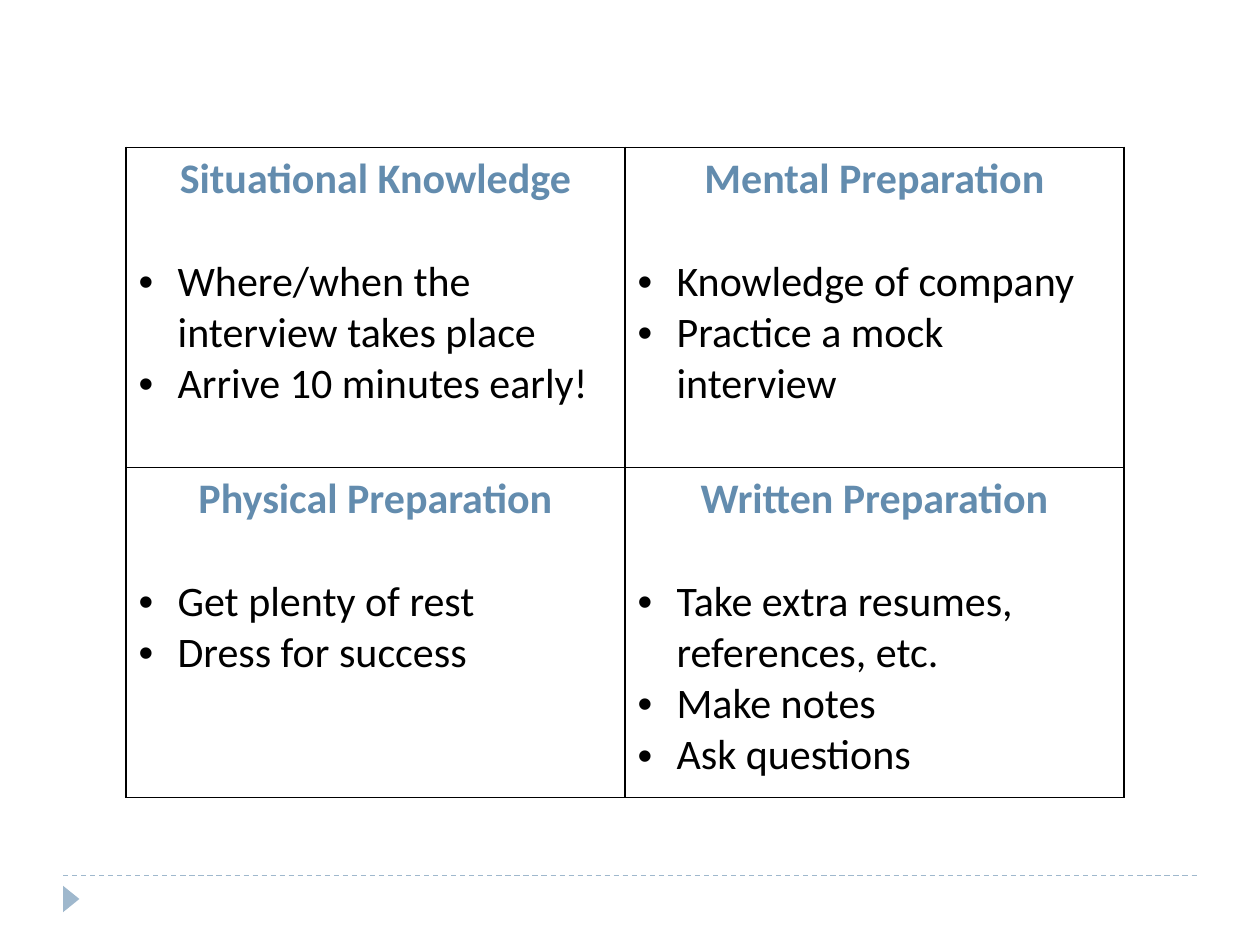
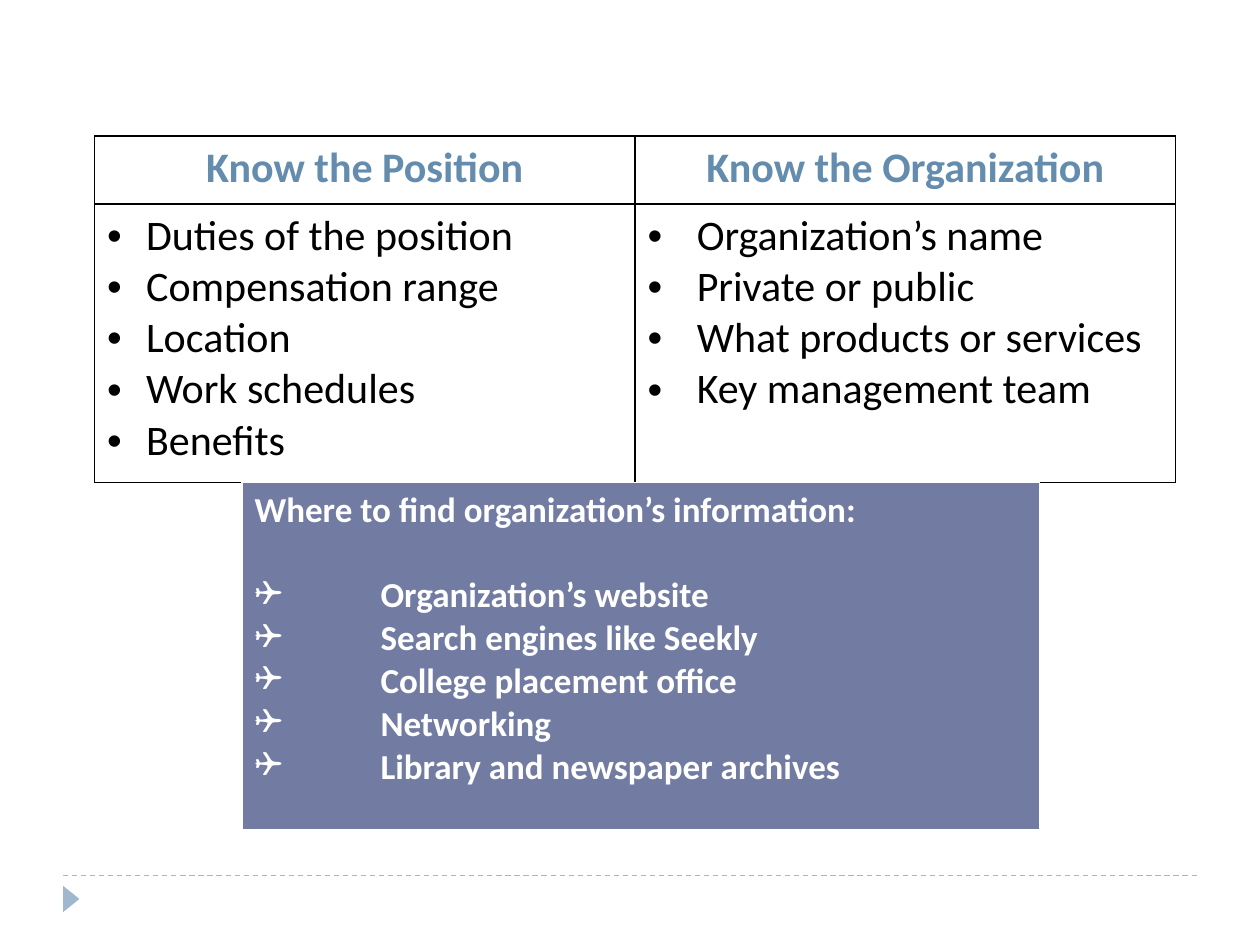
import pptx
import pptx.dml.color
import pptx.enum.dml
import pptx.enum.shapes
import pptx.enum.text
import pptx.oxml.ns
import pptx.util
from lxml import etree

Inches = pptx.util.Inches
Pt = pptx.util.Pt

FONT = "Calibri"
BLACK, WHITE = "000000", "FFFFFF"
HEADING, ACCENT, PANEL = "638CAE", "9FB8CD", "727CA3"
LINE_HEIGHT = 1.22  # Calibri line height relative to its size
GRID_BORDERS = {side: (BLACK, 1) for side in "LRTB"}
PANEL_BORDERS = {"L": (WHITE, 1), "R": (WHITE, 1), "T": (WHITE, 1), "B": (WHITE, 3)}


def rgb(value):
    return pptx.dml.color.RGBColor.from_string(value)


def add_element(parent, tag, **attributes):
    element = etree.SubElement(parent, pptx.oxml.ns.qn(tag))
    for name, value in attributes.items():
        element.set(name, str(value))
    return element


# Footer shared by every slide
def add_footer(page, left, top, width):
    rule = page.shapes.add_connector(
        pptx.enum.shapes.MSO_CONNECTOR.STRAIGHT,
        Inches(left), Inches(top), Inches(left + width), Inches(top))
    rule.line.color.rgb = rgb(ACCENT)
    rule.line.width = Pt(0.75)
    rule.line.dash_style = pptx.enum.dml.MSO_LINE.DASH
    add_element(rule._element.spPr, "a:effectLst")

    marker = page.shapes.add_shape(
        pptx.enum.shapes.MSO_SHAPE.ISOSCELES_TRIANGLE,
        Inches(left - 0.04), Inches(top + 0.12), Inches(0.21), Inches(0.13))
    marker.rotation = 90
    marker.shadow.inherit = False
    marker.fill.solid()
    marker.fill.fore_color.rgb = rgb(ACCENT)
    marker.line.fill.background()


# Table parts
def set_borders(cell, borders):
    properties = cell._tc.get_or_add_tcPr()
    for side, (color, width) in borders.items():
        line = add_element(properties, f"a:ln{side}", w=Pt(width))
        fill = add_element(line, "a:solidFill")
        add_element(fill, "a:srgbClr", val=color)


def format_paragraph(para, size, color, bold):
    para.font.size = Pt(size)
    for span in para.runs:
        span.font.name = FONT
        span.font.size = Pt(size)
        span.font.bold = bold
        span.font.color.rgb = rgb(color)


def set_bullet(para, symbol, symbol_font, indent):
    properties = para._p.get_or_add_pPr()
    properties.set("marL", str(Inches(indent)))
    properties.set("indent", str(Inches(-indent)))
    add_element(properties, "a:buFont", typeface=symbol_font)
    add_element(properties, "a:buChar", char=symbol)


def fill_cell(cell, heading=None, items=(), size=24, heading_color=HEADING,
              item_color=BLACK, bold_items=False, centered=True,
              bullet=("•", "Arial"), indent=0.31):
    frame = cell.text_frame
    frame.text = "\n".join(([heading] if heading else []) + list(items))
    paragraphs = list(frame.paragraphs)
    if heading:
        title = paragraphs.pop(0)
        if centered:
            title.alignment = pptx.enum.text.PP_ALIGN.CENTER
        format_paragraph(title, size, heading_color, True)
        if paragraphs:
            paragraphs[0].space_before = Pt(size * LINE_HEIGHT)
    for para in paragraphs:
        set_bullet(para, *bullet, indent)
        format_paragraph(para, size, item_color, bold_items)


def add_grid(page, left, top, column_width, row_heights, rows,
             borders=GRID_BORDERS, fill=None):
    columns = len(rows[0])
    table = page.shapes.add_table(
        len(rows), columns, Inches(left), Inches(top),
        Inches(column_width * columns), Inches(sum(row_heights))).table
    table.first_row = table.horz_banding = False
    for column in table.columns:
        column.width = Inches(column_width)
    for row, height, contents in zip(table.rows, row_heights, rows):
        row.height = Inches(height)
        for cell, content in zip(row.cells, contents):
            set_borders(cell, borders)
            if fill:
                cell.fill.solid()
                cell.fill.fore_color.rgb = rgb(fill)
            else:
                cell.fill.background()
            fill_cell(cell, **content)


# Slides
def add_page(deck):
    page = deck.slides.add_slide(deck.slide_layouts[6])
    add_footer(page, 0.5, 6.95, 9)
    return page


def build_preparation(deck):
    add_grid(add_page(deck), 1, 1.17, 3.96, [2.54, 2.62], [
        [dict(heading="Situational Knowledge",
              items=["Where/when the interview takes place",
                     "Arrive 10 minutes early!"]),
         dict(heading="Mental Preparation",
              items=["Knowledge of company", "Practice a mock interview"])],
        [dict(heading="Physical Preparation",
              items=["Get plenty of rest", "Dress for success"]),
         dict(heading="Written Preparation",
              items=["Take extra resumes, references, etc.", "Make notes",
                     "Ask questions"])],
    ])


def build_research(deck):
    page = add_page(deck)
    add_grid(page, 0.75, 1.08, 4.29, [0.54, 2.21], [
        [dict(heading="Know the Position"), dict(heading="Know the Organization")],
        [dict(items=["Duties of the position", "Compensation range", "Location",
                     "Work schedules", "Benefits"]),
         dict(items=["Organization’s name", "Private or public",
                     "What products or services", "Key management team"],
              indent=0.39)],
    ])
    sources = dict(
        heading="Where to find organization’s information:",
        items=["Organization’s website", "Search engines like Seekly",
               "College placement office", "Networking",
               "Library and newspaper archives"],
        size=20, heading_color=WHITE, item_color=WHITE, bold_items=True,
        centered=False, bullet=("❑", "Wingdings"), indent=1)
    add_grid(page, 1.92, 3.83, 6.33, [2.77], [[sources]], PANEL_BORDERS, PANEL)


def main():
    deck = pptx.Presentation()
    deck.slide_width, deck.slide_height = Inches(10), Inches(7.5)
    build_preparation(deck)
    build_research(deck)
    deck.save("out.pptx")


if __name__ == "__main__":
    main()
